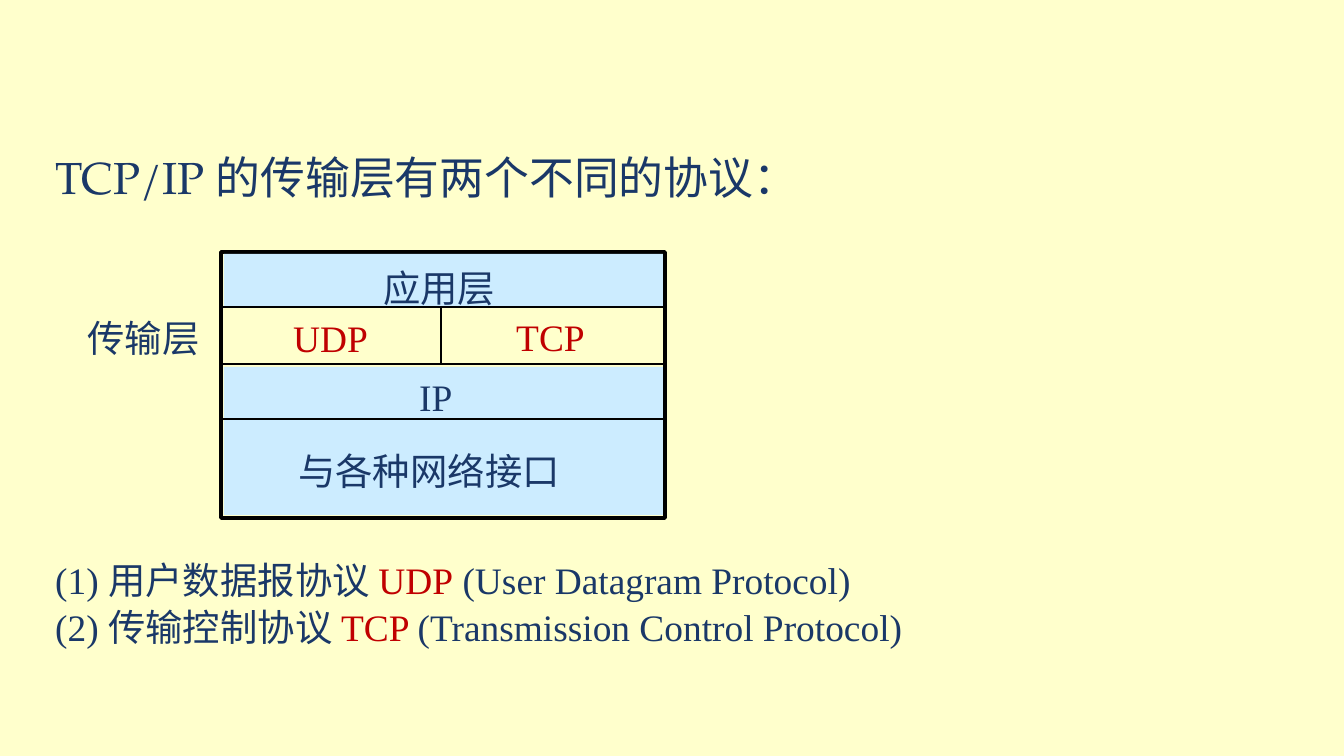
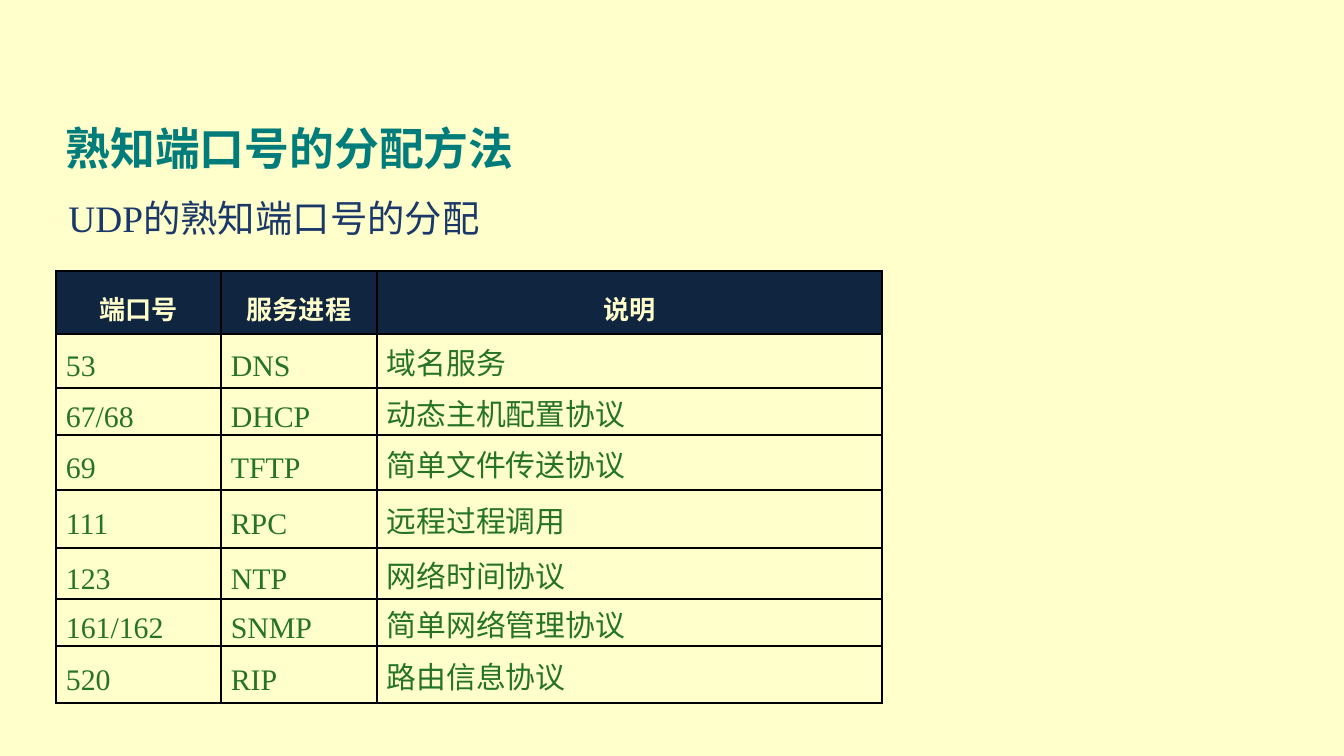
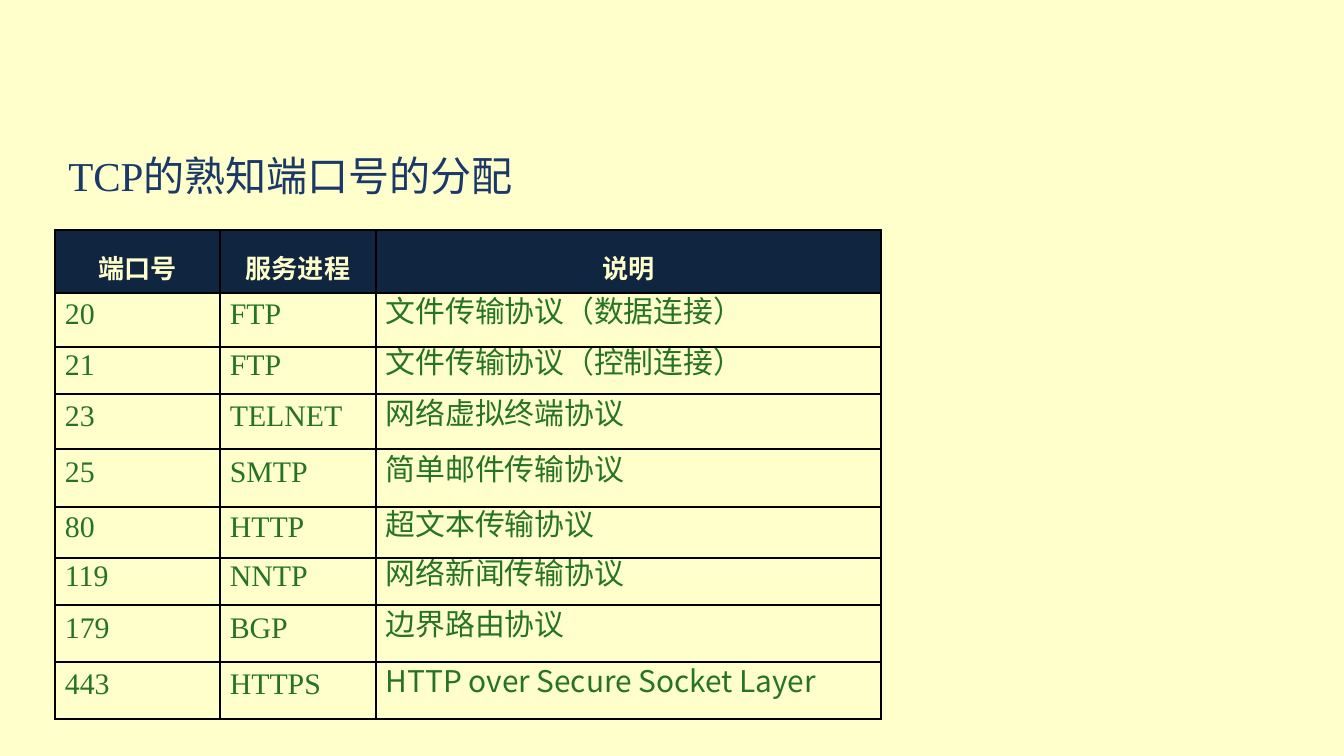
from dataclasses import dataclass

from lxml.etree import SubElement
from pptx import Presentation
from pptx.dml.color import RGBColor
from pptx.enum.shapes import MSO_CONNECTOR, MSO_SHAPE
from pptx.enum.text import MSO_ANCHOR, MSO_AUTO_SIZE, PP_ALIGN
from pptx.oxml.ns import qn
from pptx.util import Inches, Pt

SLIDE_WIDTH, SLIDE_HEIGHT = 1344, 756
SCALE = Inches(10) / SLIDE_WIDTH


@dataclass(frozen=True)
class Theme:
    paper: str = "FFFFCC"
    navy: str = "1A3868"
    red: str = "C00000"
    teal: str = "007D7A"
    green: str = "267326"
    layer: str = "CCECFF"
    header: str = "10253F"
    rule: str = "000000"
    serif: str = "Times New Roman"
    antique: str = "TeX Gyre Pagella"
    sans: str = "Noto Sans CJK SC"
    title: int = 24
    subtitle: int = 22
    text: int = 20
    cell: int = 16
    heading: int = 14


THEME = Theme()
HANGING = 51
COLUMNS = [165, 156, 505]
ROW_HEIGHTS = [63, 54, 47, 55, 58, 51, 47, 57, 57]
HEADINGS = ("端口号", "服务进程", "说明")

UDP_PORTS = [
    ("53", "DNS", "域名服务"),
    ("67/68", "DHCP", "动态主机配置协议"),
    ("69", "TFTP", "简单文件传送协议"),
    ("111", "RPC", "远程过程调用"),
    ("123", "NTP", "网络时间协议"),
    ("161/162", "SNMP", "简单网络管理协议"),
    ("520", "RIP", "路由信息协议"),
]
TCP_PORTS = [
    ("20", "FTP", "文件传输协议（数据连接）"),
    ("21", "FTP", "文件传输协议（控制连接）"),
    ("23", "TELNET", "网络虚拟终端协议"),
    ("25", "SMTP", "简单邮件传输协议"),
    ("80", "HTTP", "超文本传输协议"),
    ("119", "NNTP", "网络新闻传输协议"),
    ("179", "BGP", "边界路由协议"),
    ("443", "HTTPS", "HTTP over Secure Socket Layer"),
]
PROTOCOLS = [
    [("(1) 用户数据报协议 ", THEME.navy), ("UDP", THEME.red),
     (" (User Datagram Protocol)", THEME.navy)],
    [("(2) 传输控制协议 ", THEME.navy), ("TCP ", THEME.red),
     ("(Transmission Control Protocol)", THEME.navy)],
]


def px(length):
    return round(length * SCALE)


def place(shape, left, top, width, height):
    shape.left, shape.top = px(left), px(top)
    shape.width, shape.height = px(width), px(height)


def color(code):
    return RGBColor.from_string(code)


def style(span, size, code, face=THEME.serif, bold=False):
    font = span.font
    font.size, font.bold, font.name = Pt(size), bold, face
    font.color.rgb = color(code)
    SubElement(span._r.get_or_add_rPr(), qn("a:ea"), typeface=THEME.sans)


def hang(paragraph):
    """Give a paragraph a hanging indent and no bullet."""
    properties = paragraph._p.get_or_add_pPr()
    properties.set("marL", str(px(HANGING)))
    properties.set("indent", str(-px(HANGING)))
    SubElement(properties, qn("a:buNone"))
    paragraph.alignment = PP_ALIGN.LEFT
    paragraph.space_before = Pt(0)


def fill_placeholder(holder, text, bounds, size, code=THEME.navy,
                     face=THEME.serif, bold=False, anchor=MSO_ANCHOR.TOP):
    place(holder, *bounds)
    frame = holder.text_frame
    frame.text = text
    frame.auto_size = MSO_AUTO_SIZE.NONE
    frame.vertical_anchor = anchor
    paragraph = frame.paragraphs[0]
    hang(paragraph)
    style(paragraph.runs[0], size, code, face, bold)
    return paragraph


def add_box(shapes, bounds, fill, outline=None):
    box = shapes.add_shape(MSO_SHAPE.RECTANGLE, *map(px, bounds))
    box.shadow.inherit = False
    box.fill.solid()
    box.fill.fore_color.rgb = color(fill)
    if outline:
        box.line.color.rgb = color(outline)
        box.line.width = Pt(2)
    else:
        box.line.fill.background()


def add_rule(shapes, *ends):
    rule = shapes.add_connector(MSO_CONNECTOR.STRAIGHT, *map(px, ends))
    rule.line.color.rgb = color(THEME.rule)
    rule.line.width = Pt(1)
    SubElement(rule._element.spPr, qn("a:effectLst"))


def add_label(shapes, text, bounds, code=THEME.navy, fill=None):
    box = shapes.add_textbox(*map(px, bounds))
    if fill:
        box.fill.solid()
        box.fill.fore_color.rgb = color(fill)
    box.text_frame.text = text
    style(box.text_frame.paragraphs[0].runs[0], THEME.text, code)


def add_layer_diagram(slide):
    left, right, middle = 221, 665, 441
    shapes = slide.shapes.add_group_shape().shapes
    add_box(shapes, (left, 252, right - left, 266), THEME.paper, THEME.rule)
    for top, height in ((254, 52), (367, 148)):
        add_box(shapes, (224, top, 439, height), THEME.layer)
    add_label(shapes, "TCP", (503, 308, 97, 58), THEME.red)
    add_label(shapes, "UDP", (280, 309, 102, 58), THEME.red)
    add_label(shapes, "IP", (406, 368, 63, 58), fill=THEME.layer)
    add_label(shapes, "应用层", (370, 259, 140, 58))
    add_label(shapes, "与各种网络接口", (285, 442, 339, 58))
    for level in (307, 364, 419):
        add_rule(shapes, left, level, right, level)
    add_rule(shapes, middle, 307, middle, 364)


def add_protocol_list(slide):
    frame = slide.shapes.add_textbox(*map(px, (42, 556, 934, 167))).text_frame
    frame.word_wrap = True
    for index, pieces in enumerate(PROTOCOLS):
        paragraph = frame.add_paragraph() if index else frame.paragraphs[0]
        hang(paragraph)
        paragraph.line_spacing = 0.9
        if index:
            paragraph.space_before = Pt(3.4)
        for text, code in pieces:
            span = paragraph.add_run()
            span.text = text
            style(span, THEME.text, code)


def border(cell):
    properties = cell._tc.get_or_add_tcPr()
    for side in ("lnL", "lnR", "lnT", "lnB"):
        line = SubElement(properties, qn(f"a:{side}"), w=str(Pt(1)))
        solid = SubElement(line, qn("a:solidFill"))
        SubElement(solid, qn("a:srgbClr"), val=THEME.rule)


def fill_cell(cell, text, is_heading, face, drop):
    border(cell)
    cell.vertical_anchor = MSO_ANCHOR.MIDDLE
    cell.margin_left = cell.margin_right = px(10)
    cell.margin_top = cell.margin_bottom = 0
    cell.text = text
    paragraph = cell.text_frame.paragraphs[0]
    span = paragraph.runs[0]
    if is_heading:
        cell.fill.solid()
        cell.fill.fore_color.rgb = color(THEME.header)
        paragraph.alignment = PP_ALIGN.CENTER
        paragraph.line_spacing = 1.3
        style(span, THEME.heading, THEME.paper, bold=True)
    else:
        cell.fill.background()
        cell.margin_top = Pt(drop)
        paragraph.alignment = PP_ALIGN.JUSTIFY
        paragraph.line_spacing = Pt(12)
        style(span, THEME.cell, THEME.green, face)


def add_port_table(slide, left, top, ports, drop=0):
    """Draw a port table; drop is the top margin of its body cells in points."""
    rows = [HEADINGS, *ports]
    heights = ROW_HEIGHTS[:len(rows)]
    bounds = (left, top, sum(COLUMNS), sum(heights))
    table = slide.shapes.add_table(
        len(rows), len(COLUMNS), *map(px, bounds)).table
    table.first_row = table.horz_banding = False
    for column, width in zip(table.columns, COLUMNS):
        column.width = px(width)
    faces = (THEME.serif, THEME.serif, THEME.sans)
    for index, (row, height, texts) in enumerate(zip(table.rows, heights, rows)):
        row.height = px(height)
        for cell, text, face in zip(row.cells, texts, faces):
            fill_cell(cell, text, index == 0, face, drop)


def build_transport_slide(deck):
    slide = deck.slides.add_slide(deck.slide_layouts[5])
    title = fill_placeholder(
        slide.shapes.title, "TCP/IP 的传输层有两个不同的协议：",
        (42, 129, 1140, 82), THEME.title, face=THEME.antique,
        anchor=MSO_ANCHOR.BOTTOM)
    title.line_spacing = 0.9
    add_layer_diagram(slide)
    add_label(slide.shapes, "传输层", (74, 309, 215, 59))
    add_protocol_list(slide)


def build_udp_slide(deck):
    slide = deck.slides.add_slide(deck.slide_layouts[1])
    fill_placeholder(slide.shapes.title, "熟知端口号的分配方法",
                     (52, 85, 945, 126), THEME.title, THEME.teal,
                     bold=True, anchor=MSO_ANCHOR.MIDDLE)
    fill_placeholder(slide.placeholders[1], "UDP的熟知端口号的分配",
                     (55, 188, 1142, 74), THEME.text)
    add_port_table(slide, 56, 271, UDP_PORTS, drop=12)


def build_tcp_slide(deck):
    slide = deck.slides.add_slide(deck.slide_layouts[1])
    title = slide.shapes.title._element
    title.getparent().remove(title)
    fill_placeholder(slide.placeholders[1], "TCP的熟知端口号的分配",
                     (55, 144, 669, 77), THEME.subtitle)
    add_port_table(slide, 55, 230, TCP_PORTS)


def main():
    deck = Presentation()
    deck.slide_width, deck.slide_height = px(SLIDE_WIDTH), px(SLIDE_HEIGHT)
    background = deck.slide_master.background.fill
    background.solid()
    background.fore_color.rgb = color(THEME.paper)
    build_transport_slide(deck)
    build_udp_slide(deck)
    build_tcp_slide(deck)
    deck.save("out.pptx")


if __name__ == "__main__":
    main()
